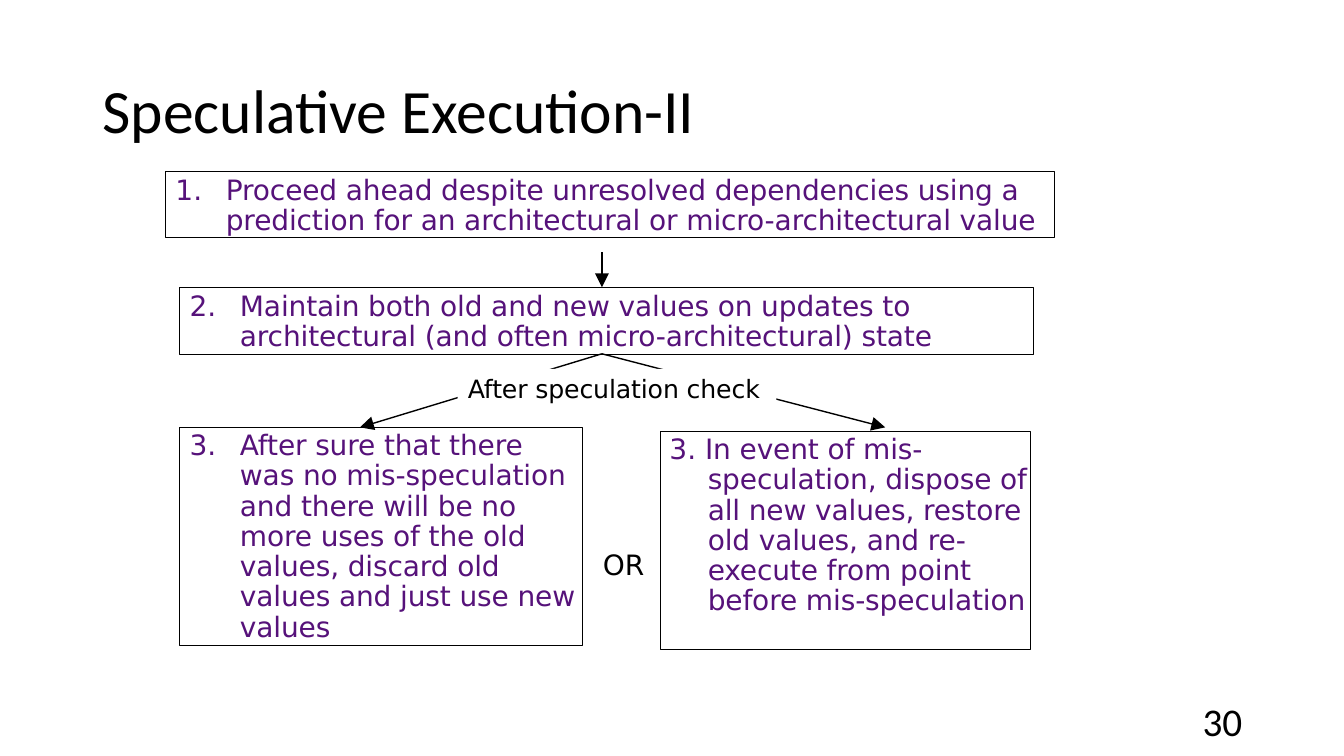
from lxml import etree
from pptx import Presentation
from pptx.dml.color import RGBColor
from pptx.enum.shapes import MSO_CONNECTOR, MSO_SHAPE
from pptx.enum.text import MSO_ANCHOR, PP_ALIGN
from pptx.oxml.ns import qn
from pptx.util import Inches, Pt

RECT, LINE = MSO_SHAPE.RECTANGLE, MSO_CONNECTOR.STRAIGHT
TOP, MID = MSO_ANCHOR.TOP, MSO_ANCHOR.MIDDLE
LEFT, RIGHT = PP_ALIGN.LEFT, PP_ALIGN.RIGHT
COLS, ROWS = 133.3, 75
BLACK, WHITE, PLUM = "000000", "FFFFFF", "56127A"
HEAD, BODY = "Calibri", "DejaVu Sans"
TIGHT = -0.1


def tint(code):
    return RGBColor.from_string(code)


class Sheet:
    """Draws styled elements on one slide, placed by columns and rows."""

    def __init__(self, deck):
        self.slide = deck.slides.add_slide(deck.slide_layouts[6])
        self.shapes = self.slide.shapes
        self.col = deck.slide_width / COLS
        self.row = deck.slide_height / ROWS

    def place(self, x, y, w, h):
        return [round(n * u) for n, u in zip((x, y, w, h), (self.col, self.row) * 2)]

    def label(self, shape, runs, size, face=BODY, color=BLACK, pad=(0, 0.01),
              anchor=TOP, align=LEFT, lead=None, indent=None, tab=False):
        frame = shape.text_frame
        frame.word_wrap = True
        frame.vertical_anchor = anchor
        frame.margin_left = frame.margin_right = Inches(pad[0])
        frame.margin_top, frame.margin_bottom = Inches(pad[1]), Inches(pad[0] / 2)
        para = frame.paragraphs[0]
        para.alignment = align
        if lead:
            para.line_spacing = lead
        props = para._p.get_or_add_pPr()
        if indent:
            props.set("marL", str(Inches(indent[0])))
            props.set("indent", str(Inches(indent[1])))
        if tab:
            stops = etree.SubElement(props, qn("a:tabLst"))
            etree.SubElement(stops, qn("a:tab"), pos=str(Inches(indent[0])), algn="l")
        for text, space in runs:
            run = para.add_run()
            run.text = text
            run.font.size, run.font.name = Pt(size), face
            run.font.color.rgb = tint(color)
            if space:
                run._r.get_or_add_rPr().set("spc", str(round(space * 100)))

    def text(self, spot, runs, size, **style):
        self.label(self.shapes.add_textbox(*self.place(*spot)), runs, size, **style)

    def rect(self, spot, fill=None, line=None):
        shape = self.shapes.add_shape(RECT, *self.place(*spot))
        shape.shadow.inherit = False
        if fill:
            shape.fill.solid()
            shape.fill.fore_color.rgb = tint(fill)
        else:
            shape.fill.background()
        if line:
            shape.line.color.rgb = tint(line)
            shape.line.width = Pt(0.75)
        else:
            shape.line.fill.background()
        return shape

    def step(self, spot, mark, text, lead, indent=(0.6, -0.5)):
        self.label(self.rect(spot, line=BLACK), [(mark, 0), (text, TIGHT)], 20,
                   color=PLUM, pad=(0, 0.04), lead=lead, indent=indent,
                   tab="\t" in mark)

    def arrow(self, start, end):
        link = self.shapes.add_connector(LINE, *self.place(*start, *end))
        link.line.color.rgb = tint(BLACK)
        link.line.width = Pt(1)
        etree.SubElement(link.line._get_or_add_ln(), qn("a:tailEnd"),
                         type="triangle", w="lg", len="lg")
        etree.SubElement(link._element.spPr, qn("a:effectLst"))


def main():
    deck = Presentation()
    deck.slide_width, deck.slide_height = Inches(13.33), Inches(7.5)
    sheet = Sheet(deck)
    sheet.text((9.2, 4, 115, 14.5), [("Speculative Execution-II", 0)], 44,
               face=HEAD, pad=(0.1, 0.05), anchor=MID, lead=0.9)
    sheet.text((94.2, 69.5, 30, 4), [("30", 0)], 28,
               face=HEAD, pad=(0.1, 0.05), anchor=MID, align=RIGHT)

    sheet.step((16.4, 17, 88.2, 6.6), "1.\t",
               "Proceed ahead despite unresolved dependencies using a "
               "prediction for an architectural or micro-architectural value",
               Pt(21.8))
    sheet.step((17.8, 28.5, 84.7, 6.7), "2.\t",
               "Maintain both old and new values on updates to "
               "architectural (and often micro-architectural) state", Pt(21.8))
    sheet.step((17.8, 42.4, 40, 21.6), "3.\t",
               "After sure that there was no mis-speculation and there will be "
               "no more uses of the old values, discard old values and just use "
               "new values", 0.9)
    sheet.step((65.5, 42.8, 36.7, 21.6), "3. ",
               "In event of mis-speculation, dispose of all new values, restore "
               "old values, and re-execute from point before mis-speculation",
               0.9, indent=(0.47, -0.38))

    fork = (59.7, 35.1)
    sheet.arrow((59.7, 25), (59.7, 28.5))
    for tip in (35.7, 87.8):
        sheet.arrow(fork, (tip, 42.4))
    sheet.rect((45.4, 36.6, 31.6, 4), fill=WHITE)
    sheet.text((46.3, 36.9, 30.5, 3.3), [("After speculation check", TIGHT)], 18,
               indent=(0.01, 0))
    sheet.text((59.7, 54.2, 4.8, 3.6), [("OR", 0)], 20, indent=(0.01, 0))
    deck.save("out.pptx")


if __name__ == "__main__":
    main()
